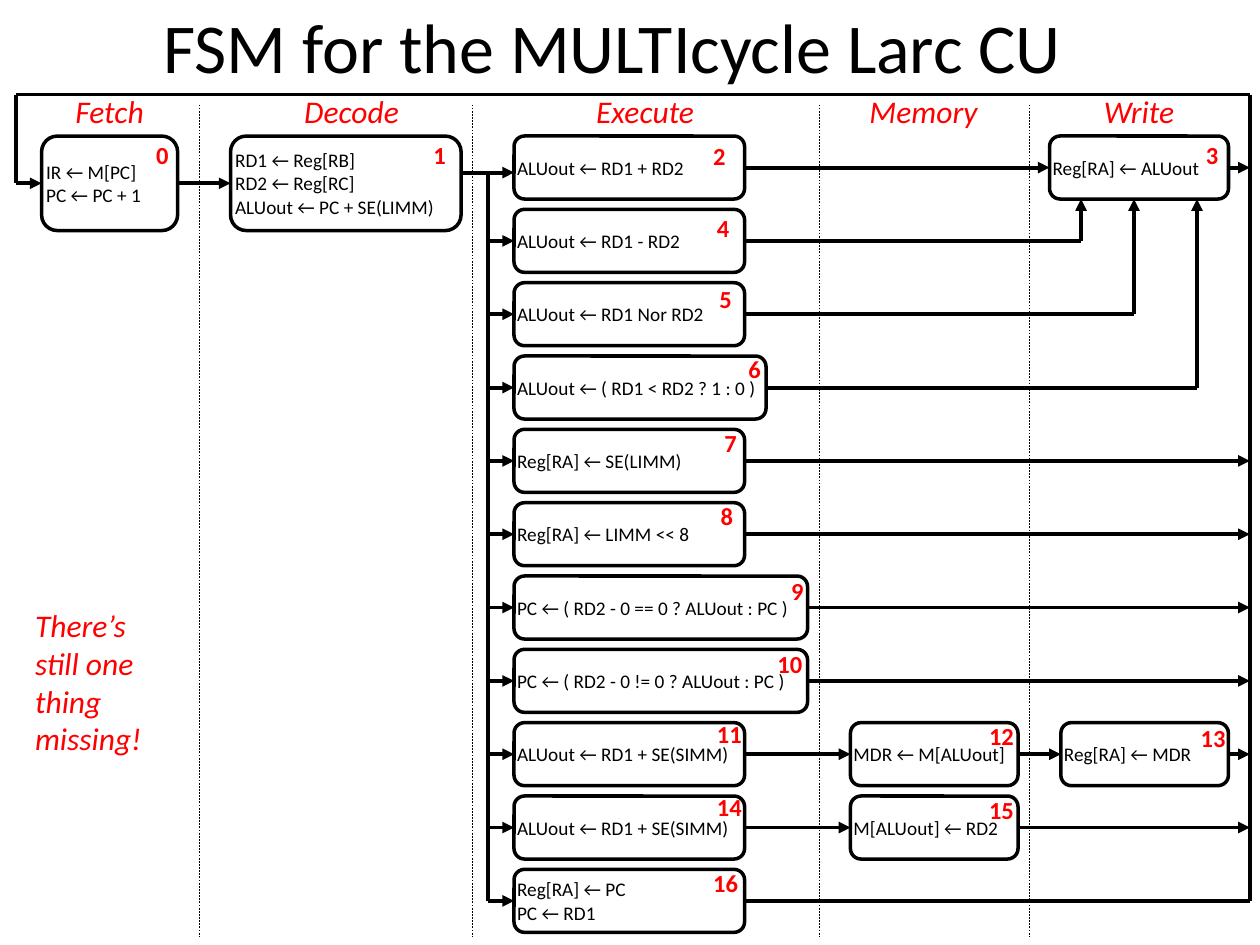
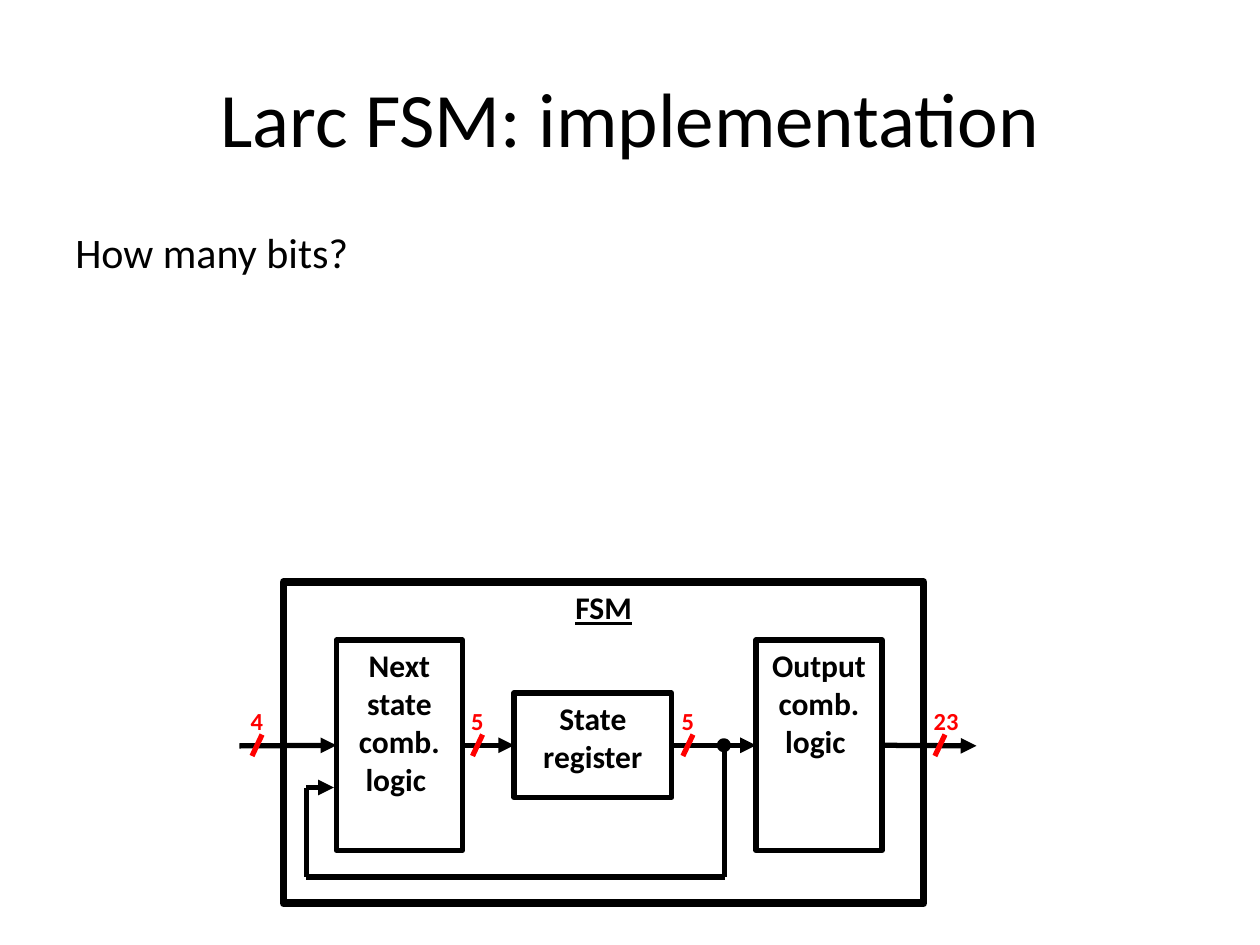
import dataclasses

import lxml.etree
import pptx
import pptx.dml.color
import pptx.enum.dml
import pptx.enum.shapes
import pptx.enum.text
import pptx.oxml.ns
import pptx.util

Inches = pptx.util.Inches
SHAPES = pptx.enum.shapes.MSO_SHAPE
ALIGN = pptx.enum.text.PP_ALIGN
ANCHOR = pptx.enum.text.MSO_ANCHOR
TOP, LEFT, BOTTOM, RIGHT = range(4)


@dataclasses.dataclass(frozen=True)
class Theme:
    font: str = "Calibri"
    ink: str = "000000"
    accent: str = "FF0000"
    state_size: int = 11
    number_size: int = 14
    label_size: int = 18
    body_size: int = 24
    state_line: float = 2
    arrow_line: float = 2.25
    divider_line: float = 0.25
    block_line: float = 3
    frame_line: float = 4.5


THEME = Theme()


@dataclasses.dataclass(frozen=True)
class Box:
    left: float
    top: float
    width: float
    height: float

    def inner(self, left, top, width, height):
        return Box(self.left + left, self.top + top, width, height)

    def point(self, x, y):
        return Inches(self.left + x), Inches(self.top + y)

    def lengths(self):
        return [Inches(value) for value in dataclasses.astuple(self)]


@dataclasses.dataclass(frozen=True)
class State:
    text: str
    left: float
    row: int
    width: float
    number_inset: float
    number_drop: float
    height: float = 0.5


ROW_TOP, ROW_PITCH = 0.33, 0.582
EXECUTE, MEMORY = 3.95, 6.62
BUS, FORK = 9.79, 3.74
DIVIDERS = (1.45, 3.62, 6.37, 8.04)
STAGES = (("Fetch", 0.24, 1), ("Decode", 1.95, 1.42), ("Execute", 3.7, 2.58),
          ("Memory", 6.45, 1.5), ("Write", 8.2, 1.42))
STATES = {
    0: State("IR ← M[PC]\nPC ← PC + 1", 0.2, 0, 1.08, 0.17, 0.03, 0.75),
    1: State("RD1 ← Reg[RB]\nRD2 ← Reg[RC]\nALUout ← PC + SE(LIMM)",
             1.7, 0, 1.83, 0.22, 0.03, 0.75),
    2: State("ALUout ← RD1 + RD2", EXECUTE, 0, 1.83, 0.25, 0.04),
    3: State("Reg[RA] ← ALUout", 8.2, 0, 1.42, 0.18, 0.03),
    4: State("ALUout ← RD1 - RD2", EXECUTE, 1, 1.83, 0.22, 0.03),
    5: State("ALUout ← RD1 Nor RD2", EXECUTE, 2, 1.83, 0.2, 0.01),
    6: State("ALUout ← ( RD1 < RD2 ? 1 : 0 )", EXECUTE, 3, 2, 0.14, -0.02),
    7: State("Reg[RA] ← SE(LIMM)", EXECUTE, 4, 1.83, 0.16, -0.01),
    8: State("Reg[RA] ← LIMM << 8", EXECUTE, 5, 1.83, 0.19, -0.01),
    9: State("PC ← ( RD2 - 0 == 0 ? ALUout : PC )", EXECUTE, 6, 2.33, 0.13, 0),
    10: State("PC ← ( RD2 - 0 != 0 ? ALUout : PC )", EXECUTE, 7, 2.33, 0.24, 0),
    11: State("ALUout ← RD1 + SE(SIMM)", EXECUTE, 8, 1.83, 0.22, -0.03),
    12: State("MDR ← M[ALUout]", MEMORY, 8, 1.33, 0.23, -0.01),
    13: State("Reg[RA] ← MDR", 8.29, 8, 1.33, 0.22, 0),
    14: State("ALUout ← RD1 + SE(SIMM)", EXECUTE, 9, 1.83, 0.22, -0.03),
    15: State("M[ALUout] ← RD2", MEMORY, 9, 1.33, 0.23, -0.01),
    16: State("Reg[RA] ← PC\nPC ← RD1", EXECUTE, 10, 1.83, 0.25, -0.01),
}
NEXT_STATES = ((0, 1), (2, 3), (11, 12), (12, 13), (14, 15))
RETURNING = (3, 7, 8, 9, 10, 13, 15, 16)
WRITE_ENTRIES = {4: 8.45, 5: 8.87, 6: 9.37}


def rgb(value):
    return pptx.dml.color.RGBColor.from_string(value)


def write(frame, text, size, color=THEME.ink, bold=False, italic=False,
          underline=False, align=ALIGN.LEFT, anchor=ANCHOR.TOP, inset=True,
          wrap=True):
    frame.word_wrap = wrap
    frame.vertical_anchor = anchor
    if not inset:
        frame.margin_left = frame.margin_right = 0
        frame.margin_top = frame.margin_bottom = 0
    for index, line in enumerate(text.split("\n")):
        para = frame.paragraphs[0] if index == 0 else frame.add_paragraph()
        para.alignment = align
        span = para.add_run()
        span.text = line
        font = span.font
        font.name, font.size = THEME.font, pptx.util.Pt(size)
        font.bold, font.italic, font.underline = bold, italic, underline
        font.color.rgb = rgb(color)


def add_text(page, box, text, size, **style):
    frame = page.shapes.add_textbox(*box.lengths()).text_frame
    write(frame, text, size, **style)


def add_number(page, box, number):
    add_text(page, box, str(number), THEME.number_size, color=THEME.accent,
             bold=True, inset=False, wrap=False)


def add_outline(page, kind, box, weight):
    shape = page.shapes.add_shape(kind, *box.lengths())
    shape.shadow.inherit = False
    shape.fill.background()
    shape.line.color.rgb = rgb(THEME.ink)
    shape.line.width = pptx.util.Pt(weight)
    return shape


def side(shape, site):
    """Point at the middle of a side of the shape."""
    x = shape.left + {LEFT: 0, RIGHT: shape.width}.get(site, shape.width // 2)
    y = shape.top + {TOP: 0, BOTTOM: shape.height}.get(site, shape.height // 2)
    return x, y


def add_line(page, start, end, weight, color=THEME.ink, arrow=False, dashed=False,
             begin=None, finish=None):
    """Line between points; begin and finish are (shape, site) pairs to join."""
    start = side(*begin) if begin else start
    end = side(*finish) if finish else end
    line = page.shapes.add_connector(
        pptx.enum.shapes.MSO_CONNECTOR.STRAIGHT, *start, *end)
    if begin:
        line.begin_connect(*begin)
    if finish:
        line.end_connect(*finish)
    line.line.color.rgb = rgb(color)
    line.line.width = pptx.util.Pt(weight)
    if dashed:
        line.line.dash_style = pptx.enum.dml.MSO_LINE.DASH
    qn = pptx.oxml.ns.qn
    properties = line._element.spPr
    if arrow:
        outline = properties.find(qn("a:ln"))
        lxml.etree.SubElement(outline, qn("a:tailEnd"), type="triangle")
    lxml.etree.SubElement(properties, qn("a:effectLst"))


def add_page(deck, title, box, size):
    page = deck.slides.add_slide(deck.slide_layouts[5])
    holder = page.shapes.title
    holder.left, holder.top, holder.width, holder.height = box.lengths()
    write(holder.text_frame, title, size, align=ALIGN.CENTER, anchor=ANCHOR.MIDDLE)
    return page


def draw_stages(page, area):
    for x in DIVIDERS:
        add_line(page, area.point(x, 0.08), area.point(x, 6.68),
                 THEME.divider_line, dashed=True)
    for name, left, width in STAGES:
        add_text(page, area.inner(left, -0.07, width, 0.4), name,
                 THEME.label_size, color=THEME.accent, italic=True,
                 align=ALIGN.CENTER)


def draw_state(page, area, number, state):
    top = ROW_TOP + ROW_PITCH * state.row
    shape = add_outline(page, SHAPES.FLOWCHART_ALTERNATE_PROCESS,
                        area.inner(state.left, top, state.width, state.height),
                        THEME.state_line)
    write(shape.text_frame, state.text, THEME.state_size, anchor=ANCHOR.MIDDLE,
          inset=False)
    number_left = state.left + state.width - state.number_inset
    add_number(page, area.inner(number_left, top + state.number_drop,
                                0.1 * len(str(number)), 0.24), number)
    return shape


def draw_transitions(page, area, shapes):
    weight = THEME.arrow_line
    bus, fork = area.point(BUS, 0)[0], area.point(FORK, 0)[0]
    for source, target in NEXT_STATES:
        add_line(page, None, None, weight, arrow=True,
                 begin=(shapes[source], RIGHT), finish=(shapes[target], LEFT))

    decode_y = 0.62
    add_line(page, area.point(3.53, decode_y), area.point(EXECUTE, decode_y),
             weight, arrow=True)
    for number, state in STATES.items():
        if state.left == EXECUTE and state.row > 0:
            entry = (shapes[number], LEFT)
            add_line(page, (fork, side(*entry)[1]), None, weight, arrow=True,
                     finish=entry)

    for number in RETURNING:
        leave = (shapes[number], RIGHT)
        add_line(page, None, (bus, side(*leave)[1]), weight, begin=leave,
                 arrow=number != 16)

    write_bottom = side(shapes[3], BOTTOM)[1]
    for number, entry_x in WRITE_ENTRIES.items():
        leave = (shapes[number], RIGHT)
        corner = area.point(entry_x, 0)[0], side(*leave)[1]
        add_line(page, None, corner, weight, begin=leave)
        add_line(page, corner, (corner[0], write_bottom), weight, arrow=True)

    last_y = side(shapes[16], RIGHT)[1]
    fetch = (shapes[0], LEFT)
    loop_start = area.point(0, 0)
    loop_end = loop_start[0], side(*fetch)[1]
    add_line(page, (fork, area.point(0, decode_y)[1]), (fork, last_y), weight)
    add_line(page, (bus, loop_start[1]), (bus, last_y), weight)
    add_line(page, loop_start, (bus, loop_start[1]), weight)
    add_line(page, loop_start, loop_end, weight)
    add_line(page, loop_end, None, weight, arrow=True, finish=fetch)


def draw_state_chart(page, area):
    draw_stages(page, area)
    shapes = {number: draw_state(page, area, number, state)
              for number, state in STATES.items()}
    draw_transitions(page, area, shapes)
    add_text(page, area.inner(0.05, 4.01, 1.19, 1.31),
             "There’s still one thing missing!", THEME.label_size,
             color=THEME.accent, italic=True)


def draw_block(page, box, text, weight=THEME.block_line, underline=False):
    shape = add_outline(page, SHAPES.RECTANGLE, box, weight)
    write(shape.text_frame, text, THEME.label_size, bold=True,
          underline=underline, align=ALIGN.CENTER)
    return shape


def draw_bus_width(page, area, x, axis, bits):
    add_line(page, area.point(x + 0.04, axis - 0.09),
             area.point(x - 0.04, axis + 0.08), THEME.block_line,
             color=THEME.accent)
    add_number(page, area.inner(x - 0.05, axis - 0.32, 0.1 * len(str(bits)), 0.24),
               bits)


def draw_fsm_blocks(page, area):
    weight, axis = THEME.block_line, 1.3
    draw_block(page, area, "FSM", THEME.frame_line, underline=True)
    next_logic = draw_block(page, area.inner(0.42, 0.46, 1, 1.67),
                            "Next state comb. logic ")
    output_logic = draw_block(page, area.inner(3.75, 0.46, 1, 1.67),
                              "Output comb. logic ")
    register = draw_block(page, area.inner(1.83, 0.88, 1.25, 0.83),
                          "State register")

    add_line(page, area.point(-0.35, axis), None, weight, arrow=True,
             finish=(next_logic, LEFT))
    for source, target in ((next_logic, register), (register, output_logic)):
        add_line(page, None, None, weight, arrow=True,
                 begin=(source, RIGHT), finish=(target, LEFT))
    add_line(page, None, area.point(5.5, axis), weight, arrow=True,
             begin=(output_logic, RIGHT))

    dot = add_outline(page, SHAPES.OVAL, area.inner(3.46, axis - 0.04, 0.07, 0.07),
                      weight)
    dot.fill.solid()
    dot.fill.fore_color.rgb = rgb(THEME.ink)
    feedback = [area.point(*spot) for spot in
                ((3.5, axis), (3.5, 2.34), (0.18, 2.34), (0.18, 1.63), (0.4, 1.63))]
    for index, (start, end) in enumerate(zip(feedback, feedback[1:])):
        add_line(page, start, end, weight, arrow=index == 3)

    for x, bits in ((-0.21, 4), (1.54, 5), (3.21, 5), (5.21, 23)):
        draw_bus_width(page, area, x, axis, bits)


def main():
    deck = pptx.Presentation()
    deck.slide_width, deck.slide_height = Inches(10), Inches(7.5)

    page = add_page(deck, "FSM for the MULTIcycle Larc CU",
                    Box(0.36, 0, 9, 0.72), 40)
    draw_state_chart(page, Box(0.13, 0.75, 9.79, 6.42))

    page = add_page(deck, "Larc FSM: implementation", Box(0.5, 0.3, 9, 1.25), 44)
    add_text(page, Box(0.5, 1.75, 9, 2.5), "How many bits?", THEME.body_size)
    draw_fsm_blocks(page, Box(2.25, 4.62, 5.08, 2.55))

    deck.save("out.pptx")


if __name__ == "__main__":
    main()
